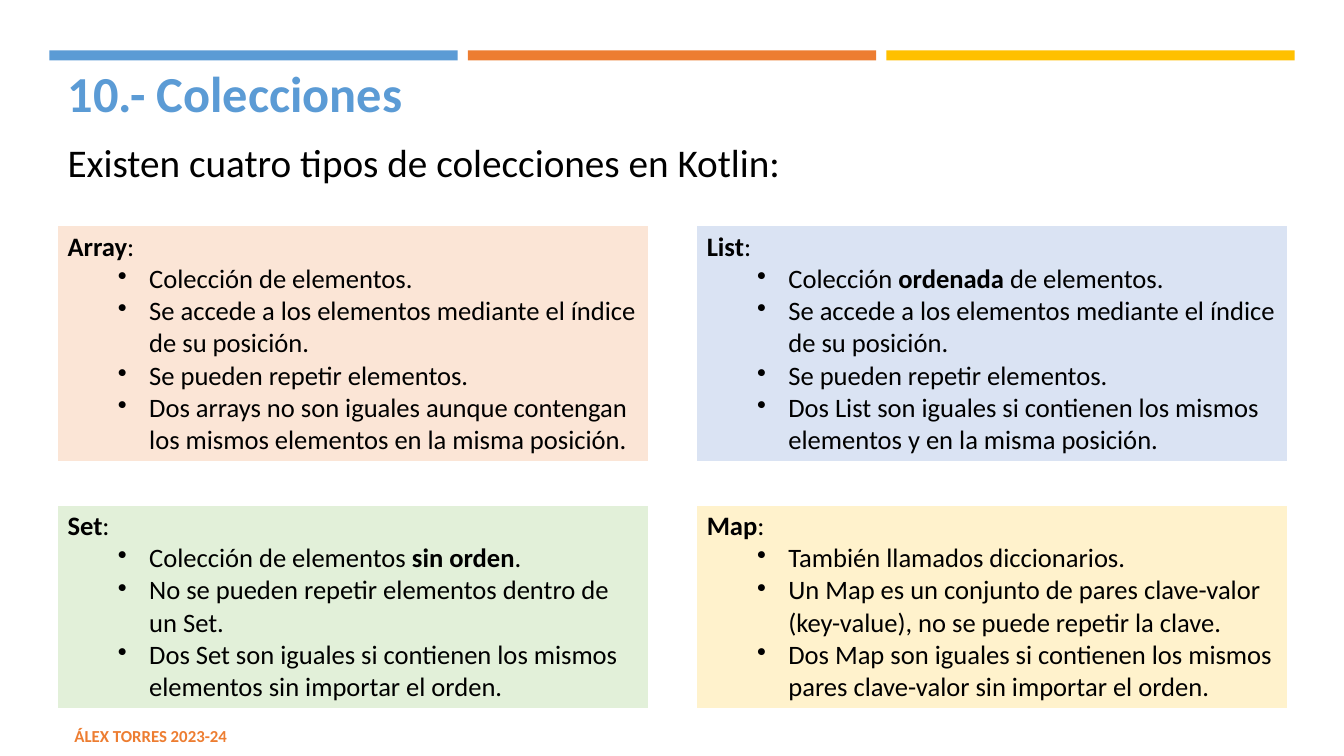
"""Build the slide on the four Kotlin collection types."""
from dataclasses import dataclass

from lxml import etree
from pptx import Presentation
from pptx import util as u
from pptx.dml.color import RGBColor
from pptx.enum import shapes, text
from pptx.oxml import ns

BLUE = RGBColor(0x5B, 0x9B, 0xD5)
ORANGE = RGBColor(0xED, 0x7D, 0x31)
GOLD = RGBColor(0xFF, 0xC0, 0x00)
BLACK = RGBColor(0x00, 0x00, 0x00)
WHITE = RGBColor(0xFF, 0xFF, 0xFF)
PEACH = RGBColor(0xFB, 0xE5, 0xD6)
PALE_BLUE = RGBColor(0xDA, 0xE3, 0xF3)
PALE_GREEN = RGBColor(0xE2, 0xF0, 0xD9)
CREAM = RGBColor(0xFF, 0xF2, 0xCC)

LEFT, WIDTH = 0.57, 12.2
COL_WIDTHS = (5.86, 0.48, 5.86)
ROW_HEIGHTS = (2.33, 0.43, 2.01)
BAR_LEFT, BAR_WIDTH, BAR_STEP = 0.49, 4.05, 4.15


@dataclass
class Collection:
    """A collection type in its table cell; asterisks enclose bold words."""
    row: int
    col: int
    fill: RGBColor
    name: str
    traits: tuple[str, ...]


COLLECTIONS = (
    Collection(0, 0, PEACH, "Array", (
        "Colección de elementos.",
        "Se accede a los elementos mediante el índice de su posición.",
        "Se pueden repetir elementos.",
        "Dos arrays no son iguales aunque contengan los mismos elementos en la misma posición.")),
    Collection(0, 2, PALE_BLUE, "List", (
        "Colección *ordenada* de elementos.",
        "Se accede a los elementos mediante el índice de su posición.",
        "Se pueden repetir elementos.",
        "Dos List son iguales si contienen los mismos elementos y en la misma posición.")),
    Collection(2, 0, PALE_GREEN, "Set", (
        "Colección de elementos *sin orden*.",
        "No se pueden repetir elementos dentro de un Set.",
        "Dos Set son iguales si contienen los mismos elementos sin importar el orden.")),
    Collection(2, 2, CREAM, "Map", (
        "También llamados diccionarios.",
        "Un Map es un conjunto de pares clave-valor (key-value), no se puede repetir la clave.",
        "Dos Map son iguales si contienen los mismos pares clave-valor sin importar el orden.")),
)


def set_font(p, size: float, color: RGBColor, bold: bool = False) -> None:
    """Set the font shared by a paragraph."""
    p.font.name = "Calibri"
    p.font.size = u.Pt(size)
    p.font.bold = bold
    p.font.color.rgb = color


def set_bullet(p, char: str = "", margin: float = 0, indent: float = 0) -> None:
    """Give a paragraph its indents and a bullet, or none."""
    pPr = p._p.get_or_add_pPr()
    pPr.set("marL", str(u.Inches(margin)))
    pPr.set("indent", str(u.Inches(indent)))
    bullet = etree.Element(ns.qn("a:buChar" if char else "a:buNone"))
    if char:
        bullet.set("char", char)
    pPr.insert_element_before(bullet, "a:tabLst", "a:defRPr", "a:extLst")


def fill_text(sp, box: tuple[float, ...], content: str, size: float, color: RGBColor,
              bold: bool = False, anchor=text.MSO_ANCHOR.TOP, inset: float = 0.1) -> None:
    """Place a one-paragraph text shape and format it."""
    sp.left, sp.top, sp.width, sp.height = map(u.Inches, box)
    tf = sp.text_frame
    tf.text = content
    tf.word_wrap = True
    tf.auto_size = text.MSO_AUTO_SIZE.NONE
    tf.vertical_anchor = anchor
    tf.margin_left = tf.margin_right = u.Inches(0.1)
    tf.margin_top = tf.margin_bottom = u.Inches(inset)
    p = tf.paragraphs[0]
    p.alignment = text.PP_ALIGN.LEFT
    p.space_before = u.Pt(0)
    set_font(p, size, color, bold)
    set_bullet(p)


def add_bars(slide) -> None:
    """Draw the coloured bars along the top."""
    for i, color in enumerate((BLUE, ORANGE, GOLD)):
        sp = slide.shapes.add_shape(
            shapes.MSO_SHAPE.RECTANGLE, u.Inches(BAR_LEFT + i * BAR_STEP),
            u.Inches(0.5), u.Inches(BAR_WIDTH), u.Inches(0.1))
        sp.shadow.inherit = False
        sp.fill.solid()
        sp.fill.fore_color.rgb = color
        sp.line.fill.background()


def style_cell(cell) -> None:
    """Give a cell a white fill and thin white borders."""
    tcPr = cell._tc.get_or_add_tcPr()
    for side in ("a:lnL", "a:lnR", "a:lnT", "a:lnB"):
        ln = etree.SubElement(tcPr, ns.qn(side), w=str(u.Pt(1)))
        solid = etree.SubElement(ln, ns.qn("a:solidFill"))
        etree.SubElement(solid, ns.qn("a:srgbClr"), val=str(WHITE))
    cell.fill.solid()
    cell.fill.fore_color.rgb = WHITE


def write_collection(cell, item: Collection) -> None:
    """Write a collection's name and bulleted traits in its cell."""
    cell.fill.fore_color.rgb = item.fill
    tf = cell.text_frame
    for i, line in enumerate((f"*{item.name}*:", *item.traits)):
        p = tf.add_paragraph() if i else tf.paragraphs[0]
        set_font(p, 19, BLACK)
        if i:
            p.level = 1
            set_bullet(p, "•", 0.81, -0.31)
        for j, part in enumerate(line.split("*")):
            if part:
                r = p.add_run()
                r.text = part
                if j % 2:
                    r.font.bold = True


def add_collections(slide) -> None:
    """Add the table of collection types."""
    table = slide.shapes.add_table(
        len(ROW_HEIGHTS), len(COL_WIDTHS), u.Inches(LEFT), u.Inches(2.24),
        u.Inches(WIDTH), u.Inches(sum(ROW_HEIGHTS))).table
    table.first_row = table.horz_banding = False
    for column, width in zip(table.columns, COL_WIDTHS):
        column.width = u.Inches(width)
    for row, height in zip(table.rows, ROW_HEIGHTS):
        row.height = u.Inches(height)
    for cell in table.iter_cells():
        style_cell(cell)
    for item in COLLECTIONS:
        write_collection(table.cell(item.row, item.col), item)


def main() -> None:
    """Build and save the slide."""
    prs = Presentation()
    prs.slide_width, prs.slide_height = u.Inches(13.33), u.Inches(7.5)
    slide = prs.slides.add_slide(prs.slide_layouts[1])
    add_bars(slide)
    footer = slide.shapes.add_textbox(0, 0, 0, 0)
    fill_text(footer, (0.64, 7.1, 7.56, 0.4), "ÁLEX TORRES 2023-24", 12, ORANGE,
              True, text.MSO_ANCHOR.MIDDLE, 0.05)
    fill_text(slide.shapes.title, (LEFT, 0.52, WIDTH, 0.73), "10.- Colecciones", 36, BLUE, True)
    fill_text(slide.placeholders[1], (LEFT, 1.27, WIDTH, 5.89),
              "Existen cuatro tipos de colecciones en Kotlin:", 28, BLACK)
    add_collections(slide)
    prs.save("out.pptx")


if __name__ == "__main__":
    main()
